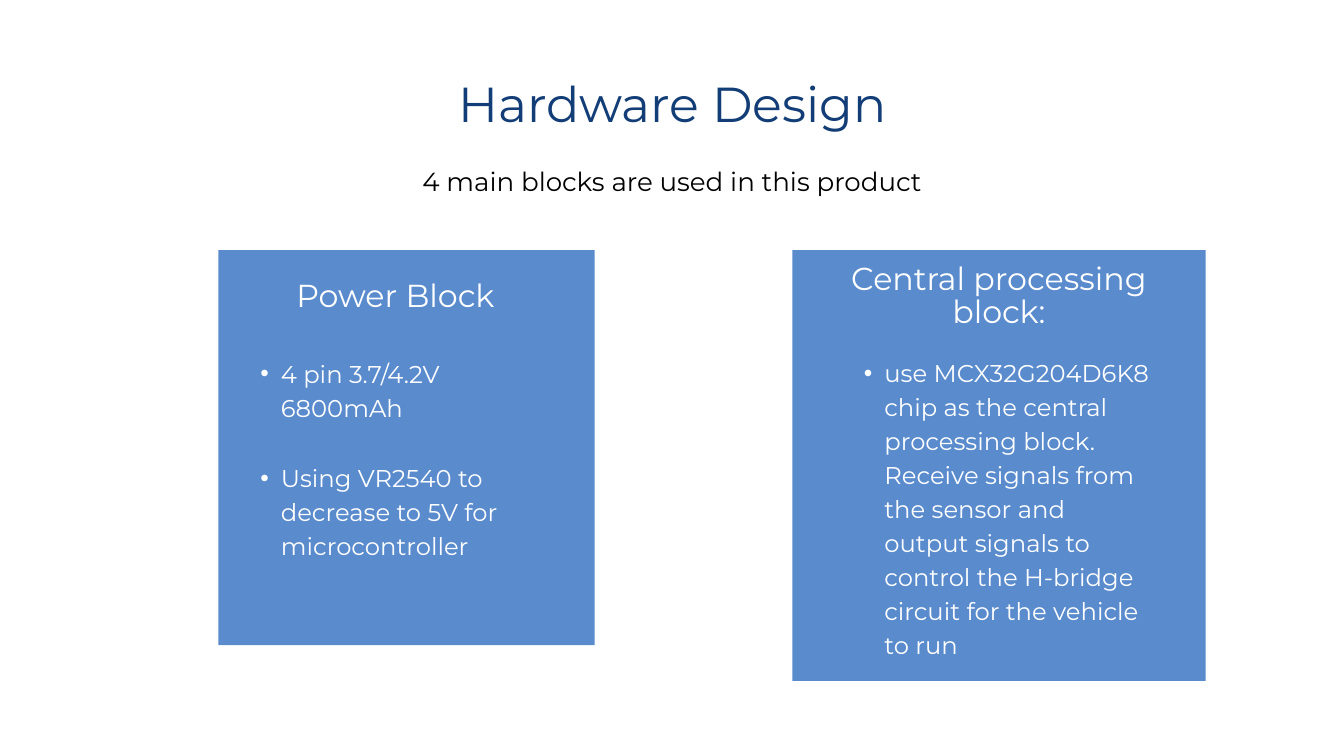
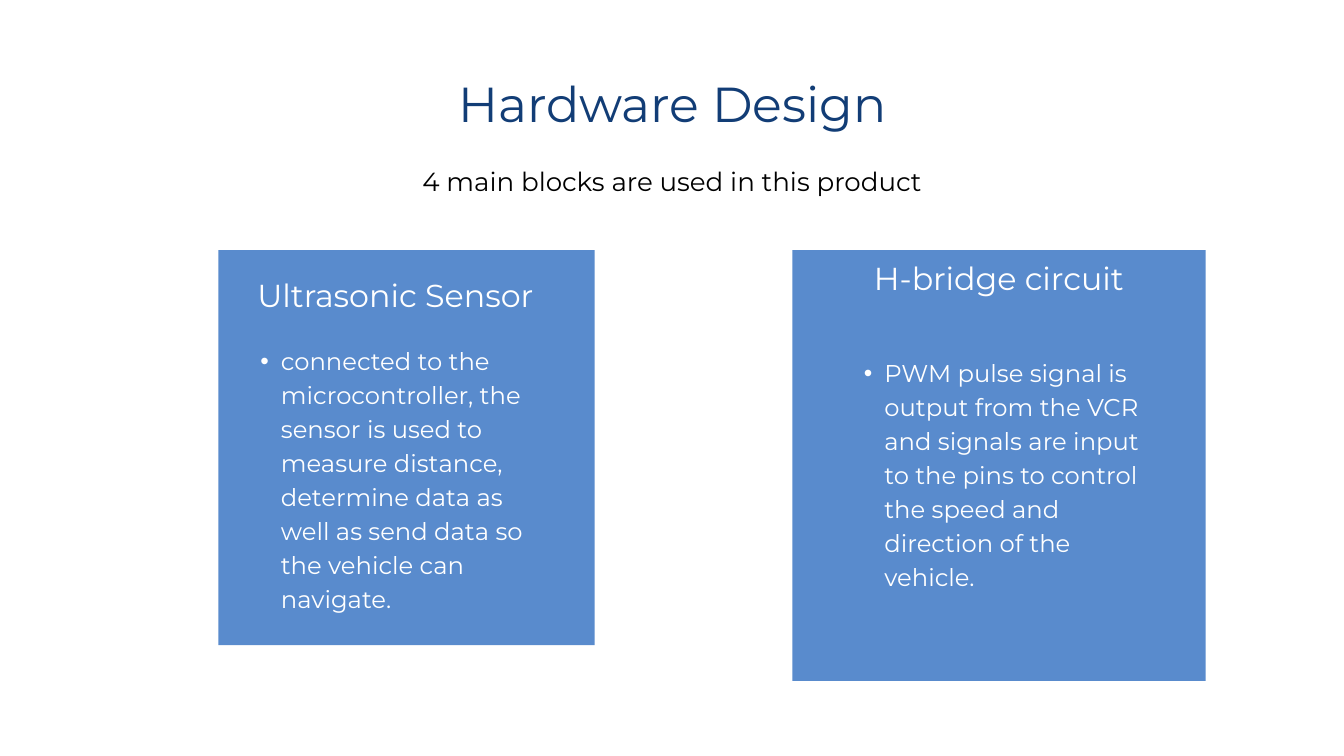
from dataclasses import dataclass

from lxml.etree import SubElement
from pptx import Presentation
from pptx.dml.color import RGBColor
from pptx.enum.shapes import MSO_SHAPE
from pptx.enum.text import MSO_ANCHOR, MSO_AUTO_SIZE, PP_ALIGN
from pptx.oxml.ns import qn
from pptx.util import Pt


@dataclass(frozen=True)
class TextStyle:
    size: float
    spacing: float
    color: RGBColor


@dataclass(frozen=True)
class Theme:
    font = "Montserrat"
    card_fill = RGBColor(0x59, 0x8B, 0xCD)
    white = RGBColor(0xFF, 0xFF, 0xFF)
    title = TextStyle(52.6, 54.8, RGBColor(0x12, 0x3D, 0x76))
    subtitle = TextStyle(28, 39.2, RGBColor(0, 0, 0))
    heading = TextStyle(34, 35.4, white)
    body = TextStyle(26, 36.4, white)
    bullet_margin = Pt(44)
    bullet_indent = Pt(-22)


@dataclass(frozen=True)
class Column:
    card: tuple
    text_left: float
    heading_top: float


TEXT_WIDTH = 333.4
LEFT = Column((234, 268, 403.2, 423.2), 257, 301)
RIGHT = Column((849, 268, 442.8, 461.5), 903.6, 283)


class Deck:
    def __init__(self, theme):
        self.theme = theme
        self.presentation = Presentation()
        self.presentation.slide_width = Pt(1440)
        self.presentation.slide_height = Pt(810)
        self.slide = None

    def add_slide(self, title, subtitle):
        layout = self.presentation.slide_layouts[5]
        self.slide = self.presentation.slides.add_slide(layout)
        background = self.slide.background.fill
        background.solid()
        background.fore_color.rgb = self.theme.white
        placeholder = self.slide.shapes.title
        placeholder.left, placeholder.top = Pt(424), Pt(87)
        placeholder.width, placeholder.height = Pt(592.5), Pt(57)
        self.fill_text(placeholder, title, self.theme.title)
        self.add_text(subtitle, 214.5, 171.4, 1011, 37.4, self.theme.subtitle)

    def fill_text(self, shape, text, style, bullet=False):
        frame = shape.text_frame
        frame.word_wrap = True
        frame.auto_size = MSO_AUTO_SIZE.SHAPE_TO_FIT_TEXT
        frame.vertical_anchor = MSO_ANCHOR.TOP
        frame.margin_left = frame.margin_right = 0
        frame.margin_top = frame.margin_bottom = 0
        paragraph = frame.paragraphs[0]
        if bullet:
            self.add_bullet(paragraph)
        paragraph.alignment = PP_ALIGN.LEFT if bullet else PP_ALIGN.CENTER
        paragraph.line_spacing = Pt(style.spacing)
        run = paragraph.add_run()
        run.text = text
        run.font.name = self.theme.font
        run.font.size = Pt(style.size)
        run.font.color.rgb = style.color

    def add_bullet(self, paragraph):
        paragraph.level = 1
        properties = paragraph._p.get_or_add_pPr()
        properties.set("marL", str(self.theme.bullet_margin))
        properties.set("indent", str(self.theme.bullet_indent))
        SubElement(properties, qn("a:buFont"), typeface="Arial")
        SubElement(properties, qn("a:buChar"), char="•")

    def add_text(self, text, left, top, width, height, style, bullet=False):
        box = self.slide.shapes.add_textbox(Pt(left), Pt(top), Pt(width), Pt(height))
        self.fill_text(box, text, style, bullet)

    def add_card(self, column, heading, heading_lines, bullets):
        theme = self.theme
        card = self.slide.shapes.add_shape(
            MSO_SHAPE.RECTANGLE, *(Pt(length) for length in column.card))
        card.shadow.inherit = False
        card.fill.solid()
        card.fill.fore_color.rgb = theme.card_fill
        card.line.fill.background()
        self.add_text(heading, column.text_left, column.heading_top, TEXT_WIDTH,
                      heading_lines * theme.heading.spacing, theme.heading)
        for top, lines, text in bullets:
            self.add_text(text, column.text_left, top, TEXT_WIDTH,
                          lines * theme.body.spacing, theme.body, bullet=True)


# Each card: column, heading, heading lines, bullets as (top, lines, text)
SLIDES = [
    [
        (LEFT, "Power Block", 1, [
            (379.5, 2, "4 pin 3.7/4.2V 6800mAh"),
            (491, 3, "Using VR2540 to decrease to 5V for microcontroller"),
        ]),
        (RIGHT, "Central processing block:", 2, [
            (378.7, 9, "use MCX32G204D6K8 chip as the central processing block. "
                       "Receive signals from the sensor and output signals to "
                       "control the H-bridge circuit for the vehicle to run"),
        ]),
    ],
    [
        (LEFT, "Ultrasonic Sensor", 1, [
            (365.8, 8, "connected to the microcontroller, the sensor is used to "
                       "measure distance, determine data as well as send data so "
                       "the vehicle can navigate."),
        ]),
        (RIGHT, "H-bridge circuit", 1, [
            (378.7, 7, "PWM pulse signal is output from the VCR and signals are "
                       "input to the pins to control the speed and direction of "
                       "the vehicle."),
        ]),
    ],
]


def main():
    deck = Deck(Theme())
    for cards in SLIDES:
        deck.add_slide("Hardware Design", "4 main blocks are used in this product")
        for card in cards:
            deck.add_card(*card)
    deck.presentation.save("out.pptx")


if __name__ == "__main__":
    main()
